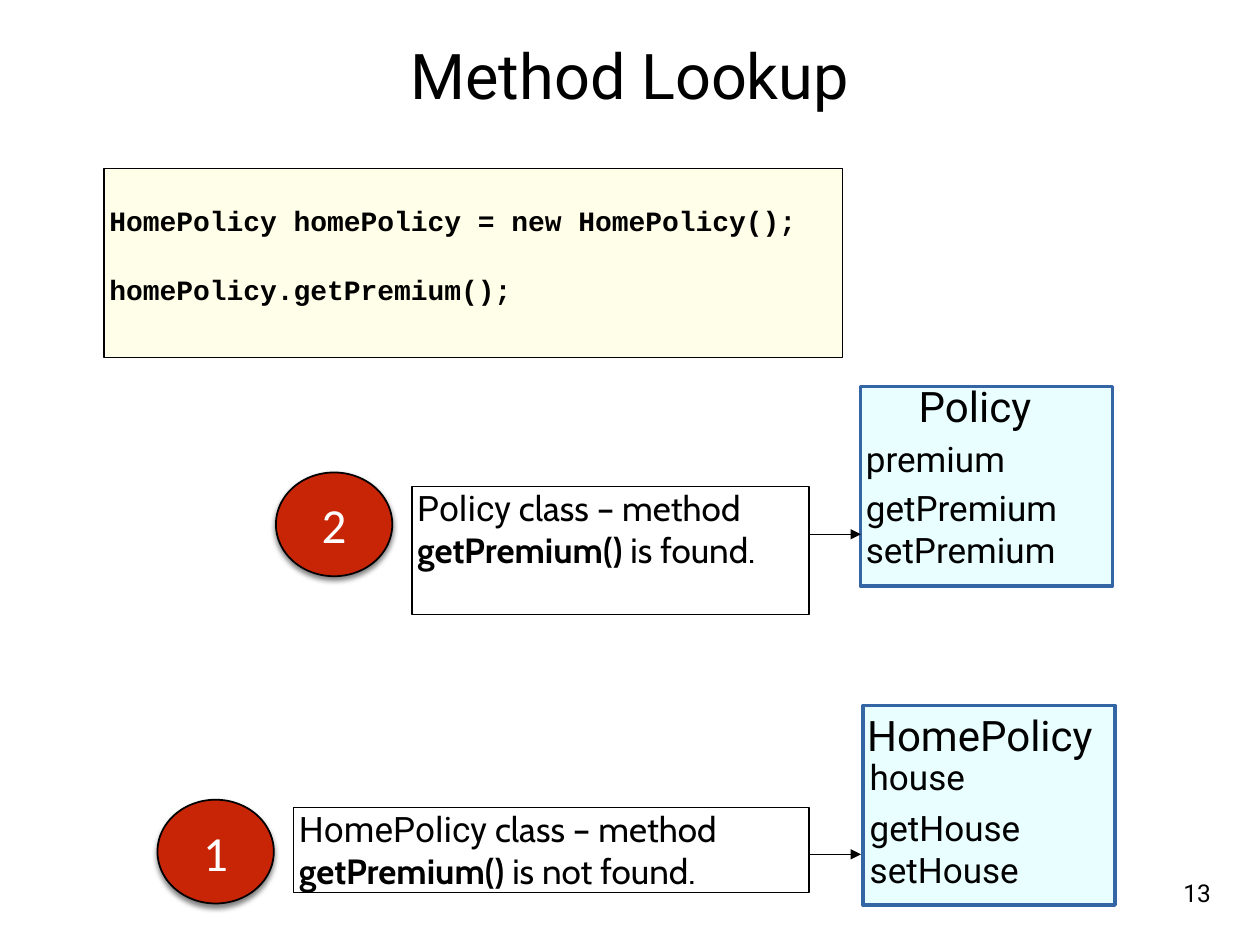
from lxml.etree import SubElement
from pptx import Presentation
from pptx.dml.color import RGBColor
from pptx.enum.shapes import MSO_CONNECTOR as CONNECTOR, MSO_SHAPE as SHAPE
from pptx.enum.text import MSO_ANCHOR as ANCHOR, PP_ALIGN as ALIGN
from pptx.oxml import parse_xml
from pptx.oxml.ns import nsdecls, qn
from pptx.util import Pt

color = RGBColor.from_string


def add_box(kind, left, top, width, height, fill, line, line_width, opacity=100):
    shape = slide.shapes.add_shape(kind, Pt(left), Pt(top), Pt(width), Pt(height))
    shape.shadow.inherit = False
    if fill:
        shape.fill.solid()
        shape.fill.fore_color.rgb = color(fill)
        if opacity < 100:
            fill_color = shape._element.spPr.find(qn("a:solidFill"))[0]
            SubElement(fill_color, qn("a:alpha"), val=str(opacity * 1000))
    else:
        shape.fill.background()
    shape.line.color.rgb = color(line)
    shape.line.width = Pt(line_width)
    return shape


def write(shape, lines, size, font="Roboto", align=ALIGN.LEFT, anchor=ANCHOR.TOP,
          font_color="000000", bold=False, margins=(3, 0, 0, 0), wrap=True):
    """Each line is a list of (text, font, bold) runs, or a plain string."""
    frame = shape.text_frame
    frame.word_wrap = wrap
    frame.vertical_anchor = anchor
    frame.margin_left, frame.margin_top, frame.margin_right, frame.margin_bottom = map(Pt, margins)
    for index, line in enumerate(lines):
        paragraph = frame.add_paragraph() if index else frame.paragraphs[0]
        paragraph.alignment = align
        for text, run_font, run_bold in [(line, font, bold)] if isinstance(line, str) else line:
            run = paragraph.add_run()
            run.text = text
            run.font.name = run_font
            run.font.size = Pt(size)
            run.font.bold = run_bold
            run.font.color.rgb = color(font_color)


presentation = Presentation()
presentation.slide_width, presentation.slide_height = Pt(720), Pt(540)
slide = presentation.slides.add_slide(presentation.slide_layouts[6])

# Title
title = slide.shapes.add_textbox(Pt(36), Pt(0), Pt(648), Pt(85.5))
write(title, ["Method Lookup"], 36, align=ALIGN.CENTER, anchor=ANCHOR.MIDDLE,
      margins=(4.5, 4.5, 4.5, 4.5))

# Code panel
code = add_box(SHAPE.RECTANGLE, 59.5, 96.5, 422, 108, "FFFED5", "000000", 0.75, 50)
write(code, ["HomePolicy homePolicy = new HomePolicy();", "homePolicy.getPremium();"],
      16, "Courier New", bold=True, margins=(3, 20, 0, 0))
code.text_frame.paragraphs[1].space_before = Pt(20)

# Class boxes, each with name, field and methods
classes = [
    (491.8, 221, [("Policy", 522, 217.5, 91, 24),
                  ("premium", 491.8, 250, 151, 20),
                  ("getPremium\nsetPremium", 491.8, 278, 128, 20)]),
    (493.2, 403.2, [("HomePolicy", 492.5, 405.5, 151, 24),
                    ("house", 494, 431.5, 128, 20),
                    ("getHouse\nsetHouse", 494, 460.8, 128, 20)]),
]
for left, top, labels in classes:
    add_box(SHAPE.RECTANGLE, left, top, 144, 114, "D4FEFF", "3465A4", 2, 50)
    for text, label_left, label_top, label_width, size in labels:
        lines = text.split("\n")
        label = slide.shapes.add_textbox(Pt(label_left), Pt(label_top), Pt(label_width),
                                         Pt(size * 1.2 * len(lines)))
        write(label, lines, size)

# Lookup steps: numbered circle, explanation and arrow to the class
steps = [
    ("1", 90, 457, 167.8, 461.5, 294.5, 48.5, 488.2, "HomePolicy", "is not found."),
    ("2", 157.7, 270, 235.4, 278, 227, 73, 305.3, "Policy", "is found."),
]
for (number, circle_left, circle_top, left, top, width, height, arrow_y,
     class_name, result) in steps:
    note = add_box(SHAPE.RECTANGLE, left, top, width, height, None, "000000", 0.75)
    write(note, [[(class_name, "Roboto", False), (" class – method ", "Cabin", False),
                  ("getPremium() ", "Cabin", True), (result, "Cabin", False)]], 20)

    arrow = slide.shapes.add_connector(CONNECTOR.STRAIGHT, Pt(462), Pt(arrow_y),
                                       Pt(492), Pt(arrow_y))
    arrow.line.color.rgb = color("000000")
    arrow.line.width = Pt(0.75)
    SubElement(arrow.line._get_or_add_ln(), qn("a:tailEnd"), type="triangle")
    SubElement(arrow._element.spPr, qn("a:effectLst"))

    circle = add_box(SHAPE.OVAL, circle_left, circle_top, 66.5, 59.3, "C82506", "000000", 1)
    circle._element.spPr.find(qn("a:effectLst")).append(parse_xml(
        f'<a:outerShdw {nsdecls("a")} blurRad="{Pt(3)}" dist="{Pt(2)}" dir="5400000" '
        'rotWithShape="0"><a:srgbClr val="000000"><a:alpha val="50000"/></a:srgbClr>'
        '</a:outerShdw>'))
    write(circle, [number], 28, "Calibri", ALIGN.CENTER, ANCHOR.MIDDLE, "FFFFFF",
          margins=(4.5, 4.5, 4.5, 4.5))

# Slide number
page = slide.shapes.add_textbox(Pt(671.8), Pt(501.8), Pt(24.5), Pt(23.8))
write(page, ["13"], 14, align=ALIGN.CENTER, margins=(0, 0, 0, 0), wrap=False)

presentation.save("out.pptx")
